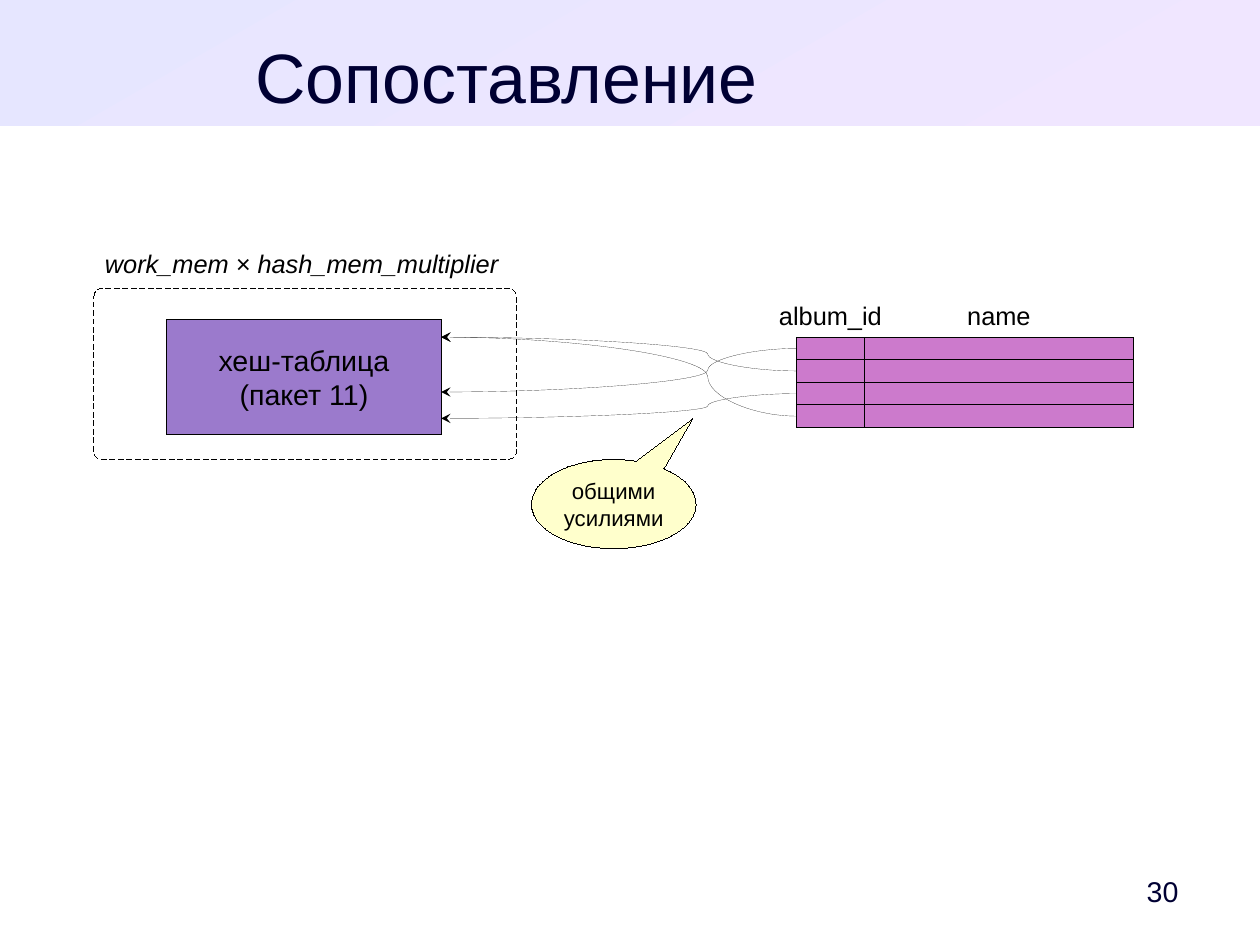
from dataclasses import dataclass
from lxml.etree import SubElement
from pptx import Presentation
from pptx.dml.color import RGBColor
from pptx.enum.dml import MSO_LINE
from pptx.enum.shapes import MSO_CONNECTOR, MSO_SHAPE
from pptx.enum.text import MSO_ANCHOR, MSO_AUTO_SIZE, PP_ALIGN
from pptx.oxml.ns import qn
from pptx.util import Inches, Pt

# Content
TITLE = "Сопоставление"
PAGE = "30"
MEMORY = "work_mem × hash_mem_multiplier"
HASH_TABLE = ["хеш-таблица", "(пакет 11)"]
CALLOUT = ["общими", "усилиями"]
COLUMNS = [("album_id", 0.59), ("name", 2.36)]  # heading, width
MATCHES = [(1, 2.95), (3, 2.95), (0, 3.43), (2, 3.66)]  # row, height of the arrow tip

# Layout, in inches; the page is 28 by 21 cm
SLIDE_W, SLIDE_H = 28 / 2.54, 21 / 2.54
TABLE_X, TABLE_Y, TABLE_H, ROWS = 6.97, 2.95, 0.79, 4
HEADING_H = 0.39
HASH_X, HASH_W = 1.46, 2.4
ROW_H = TABLE_H / ROWS


@dataclass(frozen=True)
class Theme:
    font: str = "Arial"
    dark: str = "000033"
    black: str = "000000"
    white: str = "FFFFFF"
    band_start: str = "E6E6FF"
    band_end: str = "F0E6FF"
    row: str = "CC7ACC"
    hash: str = "9B7ACC"
    note: str = "FFFFCC"
    title_size: int = 44
    body_size: int = 18
    label_size: int = 16
    note_size: int = 14


T = Theme()


def rgb(value):
    return RGBColor.from_string(value)


def write(sp, lines, size, color=T.black, align=PP_ALIGN.CENTER, italic=False,
          anchor=MSO_ANCHOR.MIDDLE, margins=(0.1, 0.05, 0.1, 0.05), wrap=False):
    tf = sp.text_frame
    tf.auto_size = MSO_AUTO_SIZE.NONE
    tf.word_wrap = wrap
    tf.vertical_anchor = anchor
    tf.margin_left, tf.margin_top, tf.margin_right, tf.margin_bottom = map(Inches, margins)
    for i, line in enumerate(lines):
        p = tf.add_paragraph() if i else tf.paragraphs[0]
        p.alignment = align
        r = p.add_run()
        r.text = line
        r.font.name, r.font.size, r.font.italic = T.font, Pt(size), italic
        r.font.color.rgb = rgb(color)


def set_hairline(sp):
    sp.line.color.rgb = rgb(T.black)
    ln = sp._element.spPr.find(qn("a:ln"))
    ln.set("w", "0")  # a zero width must be stated, or the theme's width applies
    return ln


def add_box(shapes, kind, x, y, w, h, fill, outlined=True):
    sp = shapes.add_shape(kind, *map(Inches, (x, y, w, h)))
    sp.shadow.inherit = False
    sp.fill.solid()
    sp.fill.fore_color.rgb = rgb(fill)
    if outlined:
        set_hairline(sp)
    else:
        sp.line.fill.background()
    return sp


def add_arrow(shapes, x1, y1, x2, y2, bend):
    cx = shapes.add_connector(MSO_CONNECTOR.CURVE, *map(Inches, (x1, y1, x2, y2)))
    SubElement(set_hairline(cx), qn("a:tailEnd"), type="stealth")
    spPr = cx._element.spPr
    guides = spPr.find(qn("a:prstGeom")).get_or_add_avLst()
    SubElement(guides, qn("a:gd"), name="adj1", fmla=f"val {round(bend * 100000)}")
    SubElement(spPr, qn("a:effectLst"))


def main():
    prs = Presentation()
    prs.slide_width, prs.slide_height = Inches(SLIDE_W), Inches(SLIDE_H)
    slide = prs.slides.add_slide(prs.slide_layouts[5])
    shapes = slide.shapes

    # Header band, behind the title
    band = add_box(shapes, MSO_SHAPE.RECTANGLE, 0, 0, SLIDE_W, 1.1, T.band_start, outlined=False)
    band.fill.gradient()
    band.fill.gradient_angle = 300
    for stop, color, position in zip(band.fill.gradient_stops, (T.band_start, T.band_end), (0, 1)):
        stop.color.rgb = rgb(color)
        stop.position = position
    shapes.title._element.addprevious(band._element)

    # Title and page number
    title = shapes.title
    title.left, title.top, title.width, title.height = map(Inches, (0.47, 0.29, 7.93, 0.71))
    write(title, [TITLE], T.title_size, color=T.dark, anchor=MSO_ANCHOR.TOP,
          margins=(0, 0, 0, 0), wrap=True)
    page = shapes.add_textbox(*map(Inches, (9.69, 7.56, 0.87, 0.47)))
    write(page, [PAGE], T.body_size, color=T.dark, align=PP_ALIGN.RIGHT,
          margins=(0.1, 0.05, 0.25, 0.05), wrap=True)

    # Row set: headings may be wider than their columns, so the right one goes first
    x = TABLE_X + sum(w for _, w in COLUMNS)
    for heading, w in reversed(COLUMNS):
        x -= w
        sp = add_box(shapes, MSO_SHAPE.RECTANGLE, x, TABLE_Y - HEADING_H, w, HEADING_H,
                     T.white, outlined=False)
        write(sp, [heading], T.label_size)
        for row in range(ROWS):
            add_box(shapes, MSO_SHAPE.RECTANGLE, x, TABLE_Y + row * ROW_H, w, ROW_H, T.row)

    # Memory area with the hash table
    label = shapes.add_textbox(*map(Inches, (0.82, 2.12, 3.7, 0.35)))
    write(label, [MEMORY], T.label_size, align=PP_ALIGN.LEFT, italic=True, anchor=MSO_ANCHOR.TOP)
    memory = add_box(shapes, MSO_SHAPE.ROUNDED_RECTANGLE, 0.82, 2.52, 3.7, 1.5, T.white)
    memory.adjustments[0] = 0.05
    memory.line.dash_style = MSO_LINE.DASH
    sp = add_box(shapes, MSO_SHAPE.RECTANGLE, HASH_X, 2.8, HASH_W, 1, T.hash)
    write(sp, HASH_TABLE, T.body_size)

    # Arrows from the rows to the hash table
    for row, tip_y in MATCHES:
        add_arrow(shapes, TABLE_X, TABLE_Y + (row + 0.5) * ROW_H, HASH_X + HASH_W, tip_y, bend=0.25)

    # Callout
    note = add_box(shapes, MSO_SHAPE.OVAL_CALLOUT, 4.65, 4.02, 1.44, 0.78, T.note)
    note.adjustments[0], note.adjustments[1] = 0.48, -0.96
    write(note, CALLOUT, T.note_size)

    prs.save("out.pptx")


if __name__ == "__main__":
    main()
